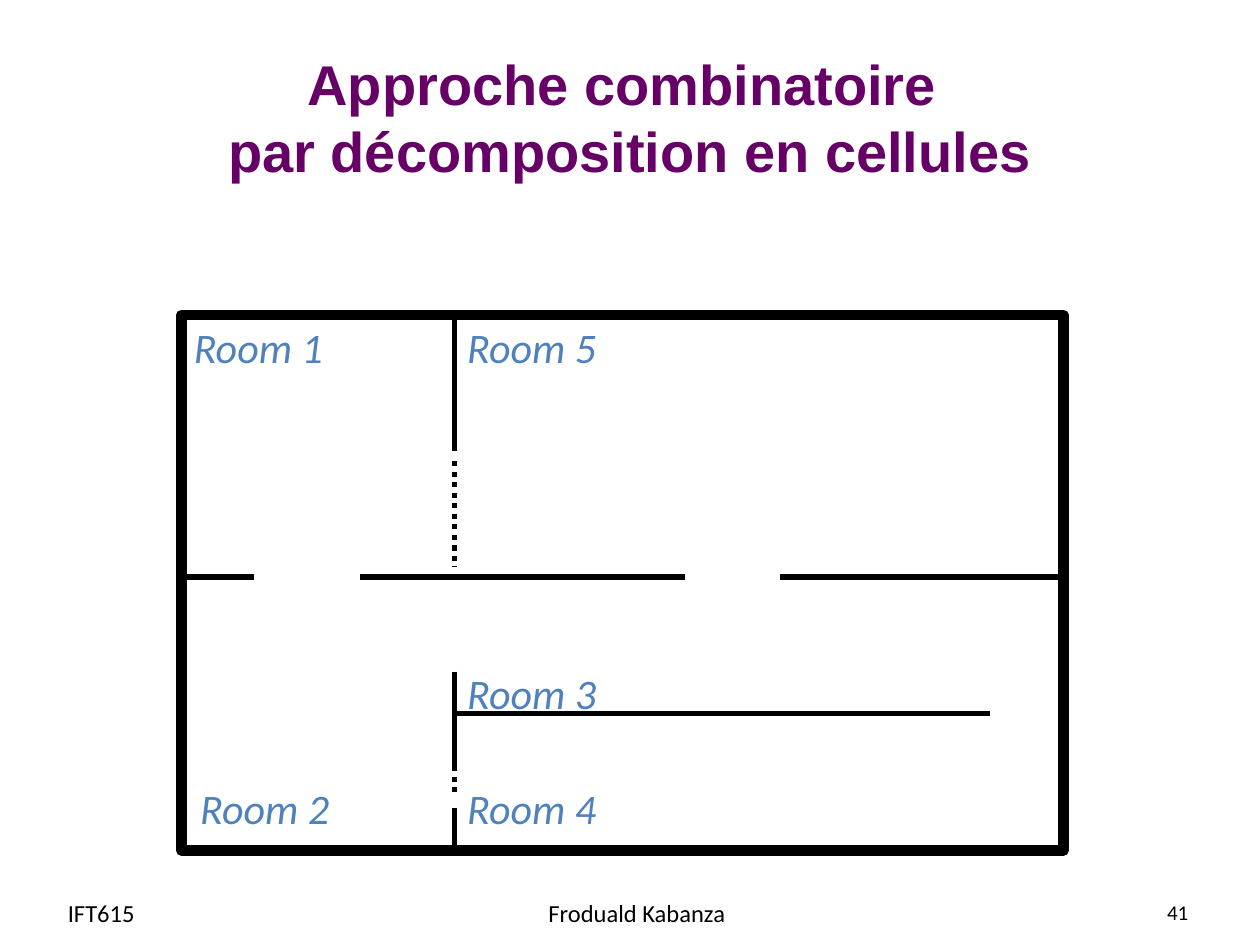
from dataclasses import dataclass

from lxml.etree import SubElement
from pptx import Presentation
from pptx.dml.color import RGBColor
from pptx.enum.dml import MSO_LINE_DASH_STYLE as Dash
from pptx.enum.shapes import MSO_CONNECTOR as Connector, MSO_SHAPE as Shape
from pptx.enum.text import MSO_ANCHOR as Anchor, PP_ALIGN as Align
from pptx.oxml.ns import qn
from pptx.util import Pt


@dataclass(frozen=True)
class Theme:
    title: RGBColor = RGBColor(0x66, 0x00, 0x66)
    room: RGBColor = RGBColor(0x4F, 0x81, 0xBD)
    ink: RGBColor = RGBColor(0x00, 0x00, 0x00)
    title_font: str = "Arial"
    body_font: str = "Calibri"
    title_size: int = 32
    room_size: int = 24
    footer_size: int = 14
    number_size: int = 12
    outer_wall: int = 6
    inner_wall: int = 3


THEME = Theme()
SCALE = 9144  # EMU per px, 100 px to the inch


def px(*lengths):
    return [length * SCALE for length in lengths]


def style(paragraph, align, size, color, font=THEME.body_font):
    paragraph.alignment = align
    paragraph.font.name = font
    paragraph.font.size = Pt(size)
    paragraph.font.color.rgb = color


deck = Presentation()
deck.slide_width, deck.slide_height = px(1000, 750)
slide = deck.slides.add_slide(deck.slide_layouts[5])

# Title
title = slide.shapes.title
title.left, title.top, title.width, title.height = px(50, 30, 900, 125)
title.text_frame.text = "Approche combinatoire \vpar décomposition en cellules"
title.text_frame.vertical_anchor = Anchor.MIDDLE
heading = title.text_frame.paragraphs[0]
style(heading, Align.CENTER, THEME.title_size, THEME.title, THEME.title_font)
heading.font.bold = True

# Floor plan: outer wall
LEFT, TOP, RIGHT, BOTTOM = 144, 250, 844, 675
MIDDLE_X, MIDDLE_Y, SHELF_Y = 361, 458, 566
plan = slide.shapes.add_group_shape().shapes
outer_wall = plan.add_shape(Shape.RECTANGLE, *px(LEFT, TOP, RIGHT - LEFT, BOTTOM - TOP))
outer_wall.shadow.inherit = False
outer_wall.fill.background()
outer_wall.line.color.rgb = THEME.ink
outer_wall.line.width = Pt(THEME.outer_wall)

# Inner walls are solid, cell borders across openings are dotted
walls = [
    (LEFT, MIDDLE_Y, 202, MIDDLE_Y, None),
    (286, MIDDLE_Y, 544, MIDDLE_Y, None),
    (619, MIDDLE_Y, RIGHT, MIDDLE_Y, None),
    (MIDDLE_X, SHELF_Y, 786, SHELF_Y, None),
    (MIDDLE_X, TOP, MIDDLE_X, 358, None),
    (MIDDLE_X, 366, MIDDLE_X, 450, Dash.ROUND_DOT),
    (MIDDLE_X, 533, MIDDLE_X, 608, None),
    (MIDDLE_X, 608, MIDDLE_X, 633, Dash.ROUND_DOT),
    (MIDDLE_X, 641, MIDDLE_X, BOTTOM, None),
]
for x1, y1, x2, y2, dash in walls:
    wall = plan.add_connector(Connector.STRAIGHT, *px(x1, y1, x2, y2))
    wall.line.color.rgb = THEME.ink
    wall.line.width = Pt(THEME.inner_wall)
    if dash:
        wall.line.dash_style = dash
    SubElement(wall._element.spPr, qn("a:effectLst"))

# Room names
rooms = [
    ("Room 1", 139, 250),
    ("Room 2", 144, 616),
    ("Room 3", 356, 525),
    ("Room 4", 356, 616),
    ("Room 5", 356, 250),
]
for name, x, y in rooms:
    room = plan.add_textbox(*px(x, y, 132, 51)).text_frame
    room.word_wrap = False
    room.text = name
    style(room.paragraphs[0], Align.CENTER, THEME.room_size, THEME.room)
    room.paragraphs[0].font.italic = True

# Footer
footers = [
    ("IFT615", 44, 193, Align.LEFT, THEME.footer_size),
    ("Froduald Kabanza", 347, 317, Align.CENTER, THEME.footer_size),
    ("41", 720, 233, Align.RIGHT, THEME.number_size),
]
for text, x, width, align, size in footers:
    footer = slide.shapes.add_textbox(*px(x, 704, width, 40)).text_frame
    footer.word_wrap = True
    footer.vertical_anchor = Anchor.MIDDLE
    footer.text = text
    style(footer.paragraphs[0], align, size, THEME.ink)

deck.save("out.pptx")
